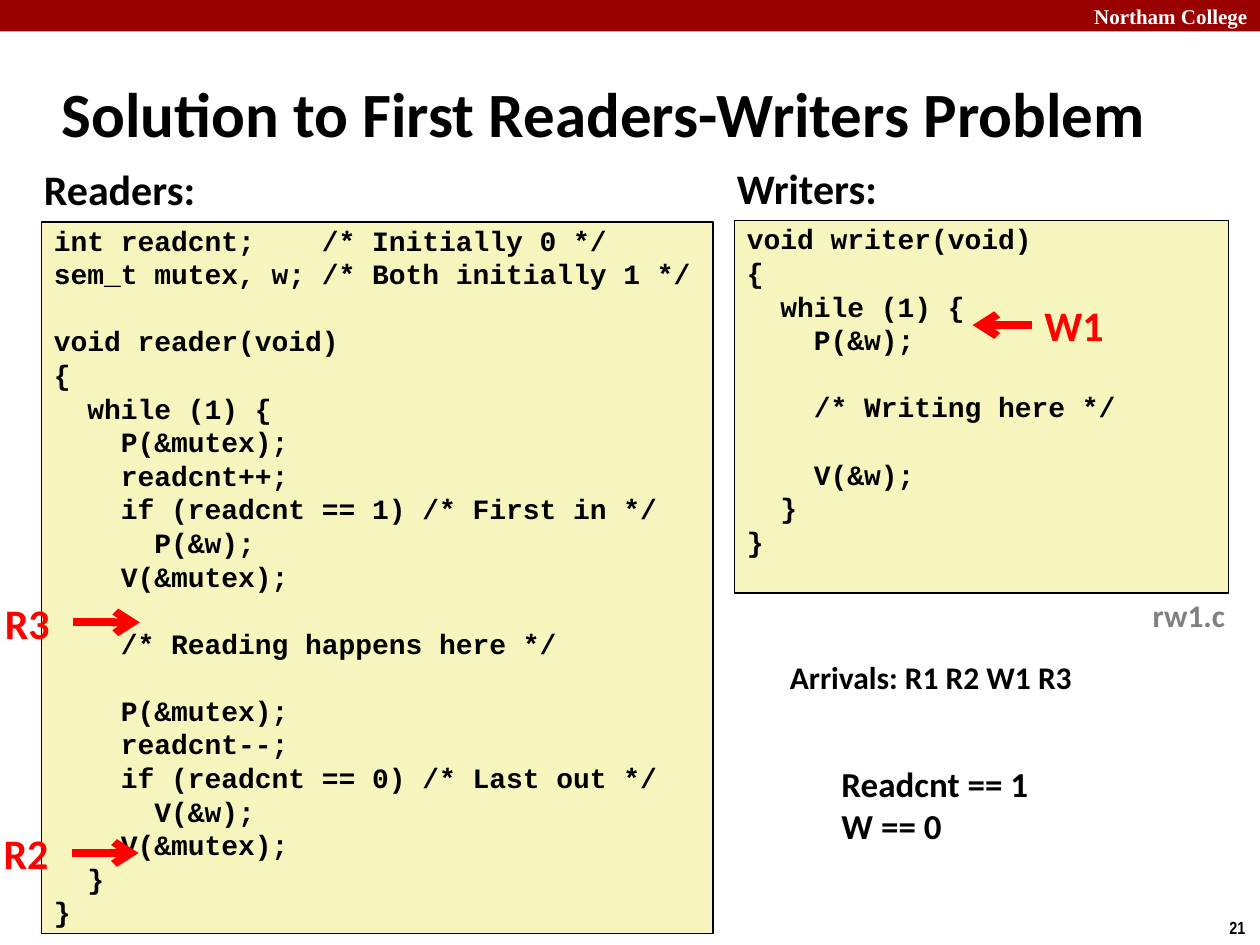
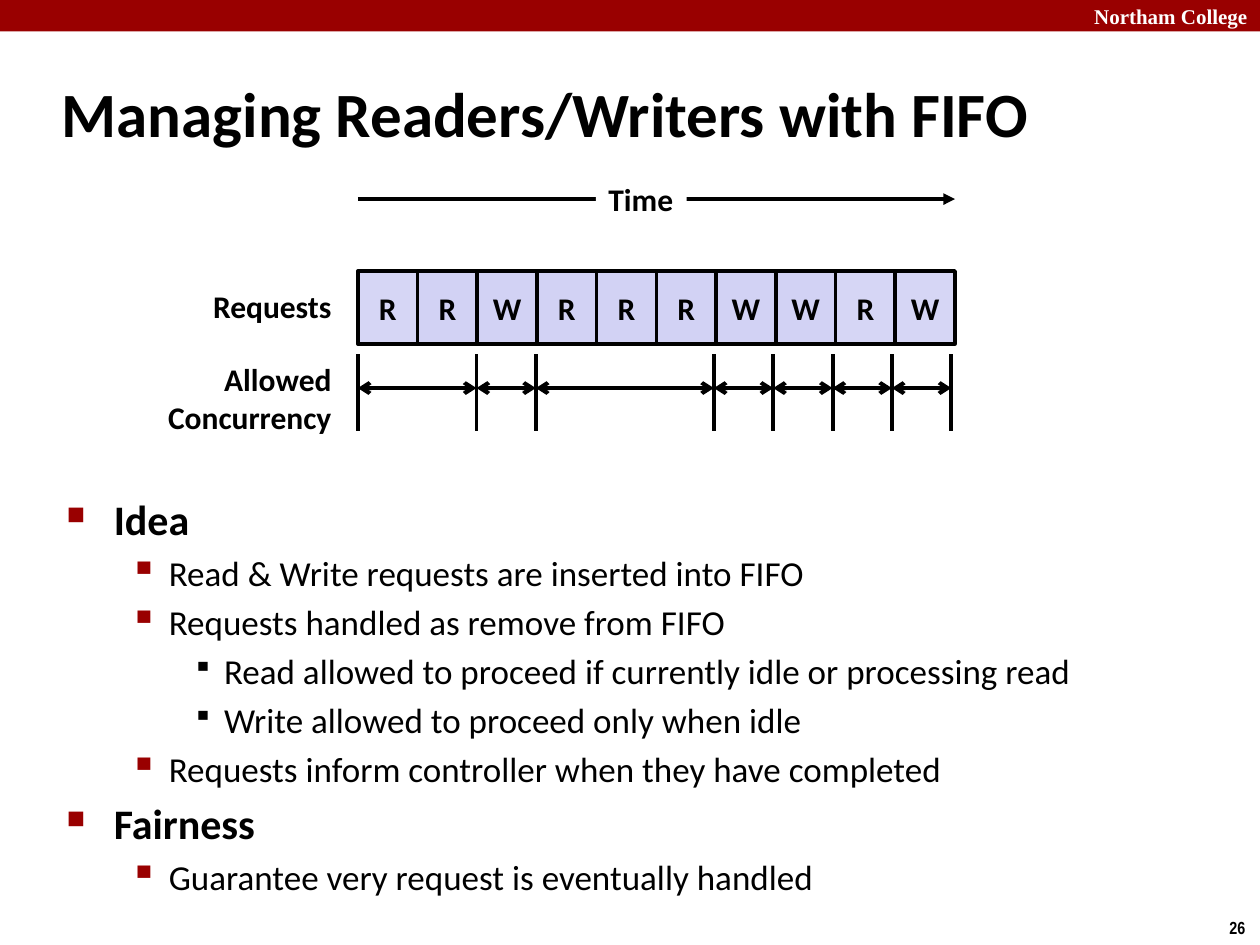
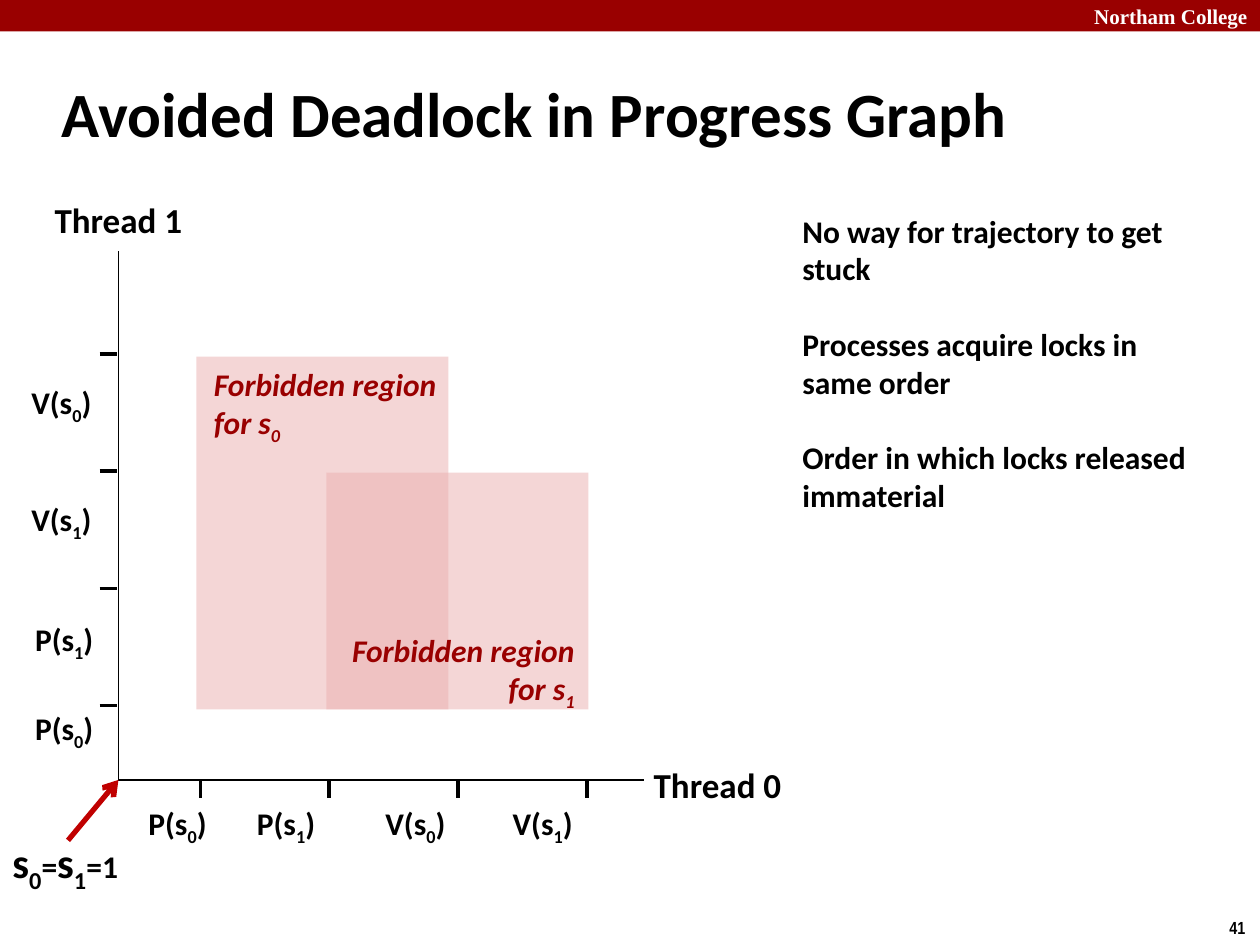
import collections
import itertools

import pptx
import pptx.dml.color
import pptx.enum.shapes
import pptx.enum.text
import pptx.oxml
import pptx.oxml.ns
import pptx.util

ALIGN = pptx.enum.text.PP_ALIGN
MIDDLE = pptx.enum.text.MSO_ANCHOR.MIDDLE
RECT = pptx.enum.shapes.MSO_SHAPE.RECTANGLE
COLS, ROWS = 100, 75
BLACK, WHITE, CRIMSON, RED = "000000", "FFFFFF", "990000", "FF0000"
CREAM, LILAC, PALE, PINK = "F6F5BD", "D2D2F4", "D6D6F5", "EBAFAF"
BASE = {"name": "Calibri", "size": 18, "bold": True, "italic": False, "color": BLACK}
CODE = {"name": "Courier New", "size": 16}
SCHOOL = "Northam College"

Box = collections.namedtuple("Box", "left top width height")

READER = """int readcnt;    /* Initially 0 */
sem_t mutex, w; /* Both initially 1 */

void reader(void)
{
  while (1) {
    P(&mutex);
    readcnt++;
    if (readcnt == 1) /* First in */
      P(&w);
    V(&mutex);

    /* Reading happens here */

    P(&mutex);
    readcnt--;
    if (readcnt == 0) /* Last out */
      V(&w);
    V(&mutex);
  }
}"""

WRITER = """void writer(void)
{
  while (1) {
    P(&w);

    /* Writing here */

    V(&w);
  }
}"""

NOTES = """No way for trajectory to get stuck

Processes acquire locks in same order

Order in which locks released immaterial"""

POINTS = [
    (0, "Idea"),
    (1, "Read & Write requests are inserted into FIFO"),
    (1, "Requests handled as remove from FIFO"),
    (2, "Read allowed to proceed if currently idle or processing read"),
    (2, "Write allowed to proceed only when idle"),
    (1, "Requests inform controller when they have completed"),
    (0, "Fairness"),
    (1, "Guarantee very request is eventually handled"),
]

Level = collections.namedtuple("Level", "size bold mark color scale left hang")
LEVELS = [
    Level(24, True, "■", CRIMSON, 60, 3.75, 3.75),
    Level(20, False, "▪", CRIMSON, 110, 8.12, 3.12),
    Level(20, False, "▪", BLACK, 80, 12.5, 2.5),
]


def cell(num):
    """Turn a count of grid cells into a length."""
    return pptx.util.Inches(num / 10)


def rgb(text):
    """Turn a hex string into a colour."""
    return pptx.dml.color.RGBColor.from_string(text)


def node(home, tag, **attrs):
    """Append a drawing element with attributes."""
    item = home.makeelement(pptx.oxml.ns.qn(tag), attrs)
    home.append(item)
    return item


def put(item, values):
    """Set attributes from a dict."""
    for key, val in values.items():
        setattr(item, key, val)


def inside(box, left, top, width, height):
    """Return a box offset from the corner of another."""
    return Box(box.left + left, box.top + top, width, height)


def style(run, fmt):
    """Format one run."""
    low = fmt.pop("base", 0)
    color = fmt.pop("color")
    fmt["size"] = pptx.util.Pt(fmt["size"])
    put(run.font, fmt)
    run.font.color.rgb = rgb(color)
    if low:
        run.font._element.set("baseline", str(low))


def write(frame, lines, fmt=None, para=None):
    """Fill a frame, turning empty lines into space before the next."""
    fmt = {**BASE, **(fmt or {})}
    gap = 0
    frame.clear()
    first = True
    for line in lines:
        if not line:
            gap += fmt["size"] * 1.2
            continue
        item = frame.paragraphs[0] if first else frame.add_paragraph()
        first = False
        put(item, {"space_before": pptx.util.Pt(gap), **(para or {})})
        gap = 0
        for text, extra in [(line, {})] if isinstance(line, str) else line:
            run = item.add_run()
            run.text = text
            style(run, {**fmt, **extra})


def label(slide, box, lines, fmt=None, para=None, **frame):
    """Add a text box."""
    shape = slide.shapes.add_textbox(*map(cell, box))
    put(shape.text_frame, {"word_wrap": False, **frame})
    write(shape.text_frame, lines, fmt, para)
    return shape


def block(slide, box, fill, edge=0, alpha=0):
    """Add a filled rectangle."""
    shape = slide.shapes.add_shape(RECT, *map(cell, box))
    shape.shadow.inherit = False
    shape.fill.solid()
    shape.fill.fore_color.rgb = rgb(fill)
    if alpha:
        tint = shape._element.spPr.find(".//" + pptx.oxml.ns.qn("a:srgbClr"))
        node(tint, "a:alpha", val=str(alpha * 1000))
    if edge:
        shape.line.color.rgb = rgb(BLACK)
        shape.line.width = pptx.util.Pt(edge)
    else:
        shape.line.fill.background()
    put(shape.text_frame, {"margin_top": 0, "margin_bottom": 0})
    return shape


def stroke(slide, start, end, width, color=BLACK, head=None, tail=None):
    """Add a straight line with optional arrowheads."""
    kind = pptx.enum.shapes.MSO_CONNECTOR.STRAIGHT
    line = slide.shapes.add_connector(kind, *map(cell, (*start, *end)))
    line.line.color.rgb = rgb(color)
    line.line.width = pptx.util.Pt(width)
    frame = line._element.spPr
    edge = frame.find(pptx.oxml.ns.qn("a:ln"))
    for tag, tip in (("a:headEnd", head), ("a:tailEnd", tail)):
        if tip:
            node(edge, tag, type=tip)
    node(frame, "a:effectLst")


def page(deck, title, number, width=83):
    """Add a slide with its band, title and number."""
    slide = deck.slides.add_slide(deck.slide_layouts[5])
    block(slide, Box(0, 0, COLS, 2.5), CRIMSON)
    label(slide, Box(82, 0, COLS - 82, 2.5), [SCHOOL],
          {"name": "Times New Roman", "size": 12, "color": WHITE},
          {"alignment": ALIGN.RIGHT}, word_wrap=True,
          vertical_anchor=MIDDLE, margin_top=0, margin_bottom=0)
    label(slide, Box(96.6, ROWS - 2.7, 3.4, 2.7), [str(number)],
          {"name": "Arial Narrow", "size": 10})
    head = slide.shapes.title
    spot = Box(3.9, 4.8, width, 8.3)
    put(head, dict(zip(spot._fields, map(cell, spot))))
    put(head.text_frame, {"word_wrap": True, "vertical_anchor": MIDDLE,
                          "auto_size": pptx.enum.text.MSO_AUTO_SIZE.NONE})
    write(head.text_frame, [title], {"size": 36}, {"alignment": ALIGN.LEFT})
    return slide


def listing(slide, box, name, code):
    """Add a headed code panel."""
    label(slide, inside(box, -0.8, -5.1, 14, 5), [name], {"size": 24})
    panel = block(slide, box, CREAM, 1)
    put(panel.text_frame, {"vertical_anchor": pptx.enum.text.MSO_ANCHOR.TOP,
                           "margin_top": cell(0.12)})
    write(panel.text_frame, code.splitlines(), CODE,
          {"alignment": ALIGN.LEFT, "line_spacing": pptx.util.Pt(19.2)})


def marker(slide, box, name, start, end):
    """Add a red name with an arrow at its middle height."""
    label(slide, box, [name], {"size": 24, "color": RED})
    mid = box.top + box.height / 2
    stroke(slide, (start, mid), (end, mid), 4.5, RED, tail="arrow")


def solution(deck):
    """Build the code slide."""
    slide = page(deck, "Solution to First Readers-Writers Problem", 21, 93.6)
    listing(slide, Box(3.3, 17.6, 53.3, 56.5), "Readers:", READER)
    listing(slide, Box(58.3, 17.5, 39.2, 29.6), "Writers:", WRITER)
    label(slide, Box(90.5, 46.8, 7.8, 4), ["rw1.c"], {"color": "808080"})
    label(slide, Box(61.7, 51.7, 24.6, 4), ["Arrivals: R1 R2 W1 R3"])
    label(slide, Box(65.8, 60, 17, 7.7), ["Readcnt == 1", "W == 0"], {"size": 20})
    marker(slide, Box(-0.7, 65.2, 6.4, 5), "R2", 5.7, 11)
    marker(slide, Box(81.9, 23.3, 7.5, 5), "W1", 81.9, 77.2)
    marker(slide, Box(-0.6, 46.9, 6.4, 5), "R3", 5.8, 11.1)


def queue(slide, box):
    """Draw the request row under its time arrow."""
    mid = box.top + 2
    stroke(slide, (box.left, mid), (box.left + box.width, mid), 2.25, tail="triangle")
    block(slide, inside(box, 18.9, 0, 7.2, 4), WHITE)
    label(slide, inside(box, 18.9, 0, 7.2, 4), ["Time"])
    step = box.width / 10
    for spot, name in enumerate("RRWRRRWWRW"):
        fill = PALE if spot in (0, 8, 9) else LILAC
        item = block(slide, inside(box, spot * step, 7.7, step, 5.8), fill, 2)
        put(item.text_frame, {"word_wrap": False, "vertical_anchor": MIDDLE})
        write(item.text_frame, [name], None, {"alignment": ALIGN.CENTER})
    right = {"alignment": ALIGN.RIGHT}
    label(slide, inside(box, -12.6, 8.5, 11.5, 4), ["Requests"], None, right)
    label(slide, inside(box, -16.2, 14.3, 15.1, 7.1), ["Allowed", "Concurrency"], None, right)


def spans(slide, box, counts):
    """Draw posts and the double arrows between them."""
    step = box.width / sum(counts)
    posts = [box.left + step * num for num in itertools.accumulate(counts, initial=0)]
    for post in posts:
        stroke(slide, (post, box.top), (post, box.top + box.height), 2.25)
    mid = box.top + 2.7
    for start, end in zip(posts, posts[1:]):
        stroke(slide, (start, mid), (end, mid), 2.25, head="arrow", tail="arrow")


def bullets(slide, box, points):
    """Add the outline with its square marks."""
    shape = label(slide, box, [text for _, text in points], word_wrap=True)
    for item, (depth, _) in zip(shape.text_frame.paragraphs, points):
        rank = LEVELS[depth]
        put(item, {"level": depth, "space_before": pptx.util.Pt(rank.size / 5)})
        put(item.runs[0].font, {"size": pptx.util.Pt(rank.size), "bold": rank.bold})
        prop = item._p.get_or_add_pPr()
        prop.set("marL", str(cell(rank.left)))
        prop.set("indent", str(-cell(rank.hang)))
        node(node(prop, "a:buClr"), "a:srgbClr", val=rank.color)
        node(prop, "a:buSzPct", val=str(rank.scale * 1000))
        node(prop, "a:buChar", char=rank.mark)


def managing(deck):
    """Build the queue slide."""
    slide = page(deck, "Managing Readers/Writers with FIFO", 26)
    bullets(slide, Box(4.3, 38.7, 86.4, 30.6), POINTS)
    queue(slide, Box(28.4, 13.8, 47.4, 13.5))
    spans(slide, Box(28.4, 28.1, 47.1, 6.1), (2, 1, 3, 1, 1, 1, 1))


def sub(head, low, tail=""):
    """Return runs with a lowered middle part."""
    runs = [(head, {}), (low, {"base": -25000}), (tail, {})]
    return [run for run in runs if run[0]]


def call(slide, box, name):
    """Label an axis step such as P0."""
    label(slide, box, [sub(name[0] + "(s", name[1], ")")])


def zone(slide, box, spot, low, side):
    """Add a forbidden region with its caption."""
    block(slide, box, PINK, alpha=50)
    label(slide, inside(box, *spot, 20.6, 7.1), ["Forbidden region", sub("for s", low)],
          {"italic": True, "color": CRIMSON}, {"alignment": side})


def axes(slide, box):
    """Draw both axes with ticks and names."""
    base = box.top + box.height
    stroke(slide, (box.left, base), (box.left + box.width, base), 1)
    stroke(slide, (box.left, base), (box.left, box.top), 1)
    big = {"size": 20}
    mid = {"alignment": ALIGN.CENTER}
    label(slide, inside(box, 41.4, 40.2, 12.3, 4.4), ["Thread 0"], big, mid)
    label(slide, inside(box, -6.1, -4.6, 12.2, 4.4), ["Thread 1"], big, mid)
    across = zip(("P0", "P1", "V0", "V1"), (1.4, 10, 20.2, 30.3))
    for num, (name, left) in enumerate(across):
        tick = box.left + 6.5 + num * 10.23
        stroke(slide, (tick, base), (tick, base + 1.4), 2)
        call(slide, inside(box, left, 43.4, 6.9, 4), name)
    down = zip(("V0", "V1", "P1", "P0"), (10, 19.3, 28.8, 35.9), (-7.9, -7.9, -7.6, -7.6))
    for num, (name, top, left) in enumerate(down):
        tick = box.top + 8.2 + num * 9.3
        stroke(slide, (box.left - 1.5, tick), (box.left - 0.1, tick), 2)
        call(slide, inside(box, left, top, 6.9, 4), name)


def avoided(deck):
    """Build the progress graph slide."""
    slide = page(deck, "Avoided Deadlock in Progress Graph", 41)
    graph = Box(9.4, 19.9, 41.7, 42)
    axes(slide, graph)
    zone(slide, inside(graph, 6.2, 8.4, 20, 28), (0.4, 0.2), "0", ALIGN.LEFT)
    zone(slide, inside(graph, 16.5, 17.6, 20.8, 18.8), (0.1, 12.1), "1", ALIGN.RIGHT)
    small = {"size": 18}
    start = sub("s", "0") + [("=", small)] + sub("s", "1") + [("=1", small)]
    label(slide, Box(0, 66.7, 10.8, 4), [start], {"size": 24}, margin_top=0,
          margin_bottom=0, vertical_anchor=MIDDLE)
    stroke(slide, (5.4, 66.7), (graph.left, 61.9), 3, "C00000", tail="arrow")
    label(slide, Box(62.7, 16.8, 34, 24), NOTES.splitlines(), word_wrap=True,
          margin_top=0, margin_bottom=0)


def main():
    """Build and save the deck."""
    deck = pptx.Presentation()
    put(deck, {"slide_width": cell(COLS), "slide_height": cell(ROWS)})
    for build in (solution, managing, avoided):
        build(deck)
    deck.save("out.pptx")


if __name__ == "__main__":
    main()
